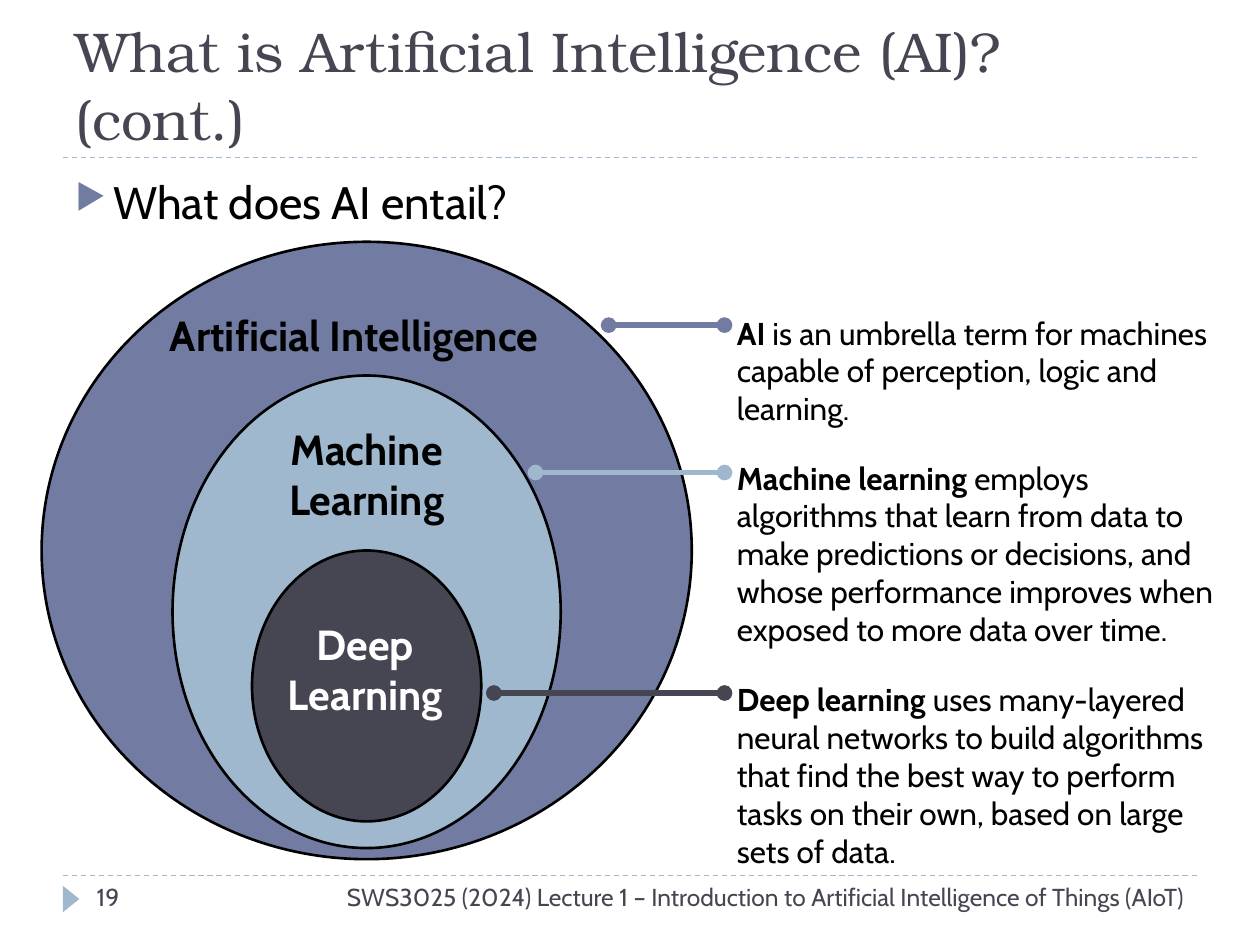
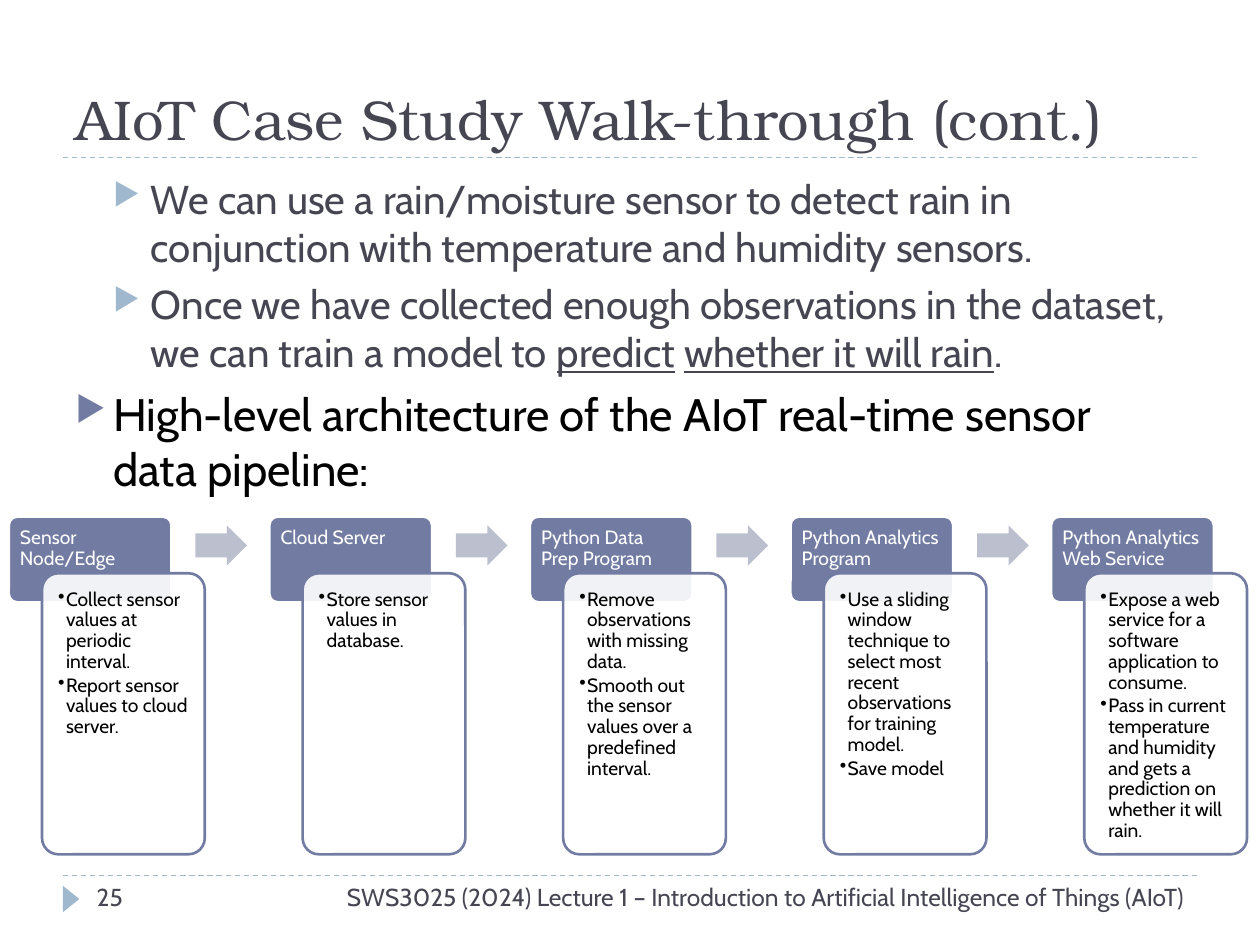
from lxml.etree import SubElement
from pptx import Presentation
from pptx.dml.color import RGBColor
from pptx.enum.dml import MSO_LINE
from pptx.enum.shapes import MSO_CONNECTOR, MSO_SHAPE
from pptx.enum.text import MSO_ANCHOR, PP_ALIGN
from pptx.oxml.ns import qn
from pptx.util import Pt

INDIGO, SKY, SLATE = "727CA3", "9FB8CD", "464653"
BLACK, WHITE, ARROW_GRAY = "000000", "FFFFFF", "BCBFCE"
HEADING_FONT, BODY_FONT = "TeX Gyre Bonum", "Cabin"
FOOTER = "SWS3025 (2024) Lecture 1 – Introduction to Artificial Intelligence of Things (AIoT)"
INSETS = (7.2, 3.6, 7.2, 3.6)

MAIN = dict(size=26, color=BLACK, before=6, indent=21.6, hang=21.6,
            bullet="▶", bullet_color=INDIGO)
SUB = dict(size=23, color=SLATE, before=5, indent=43.2, hang=21.6, level=1,
           bullet="▶", bullet_color=SKY, emphasis="underline")
STAGE = dict(size=11, color=WHITE, spacing=0.9)
TASK = dict(size=11, color=BLACK, spacing=0.9, after=1.65, indent=4.5, hang=4.5,
            bullet="•")

CIRCLES = [
    ((23.8, 138.2, 371.5, 352.8), INDIGO),
    ((98.6, 214.6, 221.8, 270), SKY),
    ((144, 314.6, 131, 154.8), SLATE),
]
CIRCLE_LABELS = [
    ("Artificial Intelligence", (90, 173.5, 250.6, 36), BLACK, PP_ALIGN.LEFT),
    ("Machine Learning", (130.3, 238.3, 158.4, 65.5), BLACK, PP_ALIGN.CENTER),
    ("Deep Learning", (129.6, 349.9, 158.4, 65.5), WHITE, PP_ALIGN.CENTER),
]
DEFINITIONS = [
    ("*AI* is an umbrella term for machines capable of perception, logic and learning.",
     175.7, 72.7, 347.8, 185.8, INDIGO),
    ("*Machine learning* employs algorithms that learn from data to make predictions or "
     "decisions, and whose performance improves when exposed to more data over time.",
     258.5, 116.6, 306, 270, SKY),
    ("*Deep learning* uses many-layered neural networks to build algorithms that find the "
     "best way to perform tasks on their own, based on large sets of data.",
     385.2, 116.6, 282.2, 396, SLATE),
]
PIPELINE = [
    ("Sensor Node/Edge", ["Collect sensor values at periodic interval.",
                          "Report sensor values to cloud server."]),
    ("Cloud Server", ["Store sensor values in database."]),
    ("Python Data Prep Program", ["Remove observations with missing data.",
                                  "Smooth out the sensor values over a predefined interval."]),
    ("Python Analytics Program", ["Use a sliding window technique to select most recent "
                                  "observations for training model.", "Save model"]),
    ("Python Analytics Web Service", ["Expose a web service for a software application to "
                                      "consume.",
                                      "Pass in current temperature and humidity and gets a "
                                      "prediction on whether it will rain."]),
]


def rgb(value):
    """Turn a hex string into a colour."""
    return RGBColor.from_string(value)


def points(values):
    """Turn numbers into lengths in points."""
    return [Pt(value) for value in values]


class Deck:
    """Holds the presentation, its style and the current slide."""

    def __init__(self):
        """Start an empty 10 by 7.5 inch presentation."""
        self.presentation = Presentation()
        self.presentation.slide_width, self.presentation.slide_height = points((720, 540))

    def new_slide(self, title, number):
        """Add a slide with title, divider lines and footer."""
        self.slide = self.presentation.slides.add_slide(self.presentation.slide_layouts[6])
        for y in (500.4, 90):
            self.line((36, y), (684, y), SKY, 0.75, dashed=True)
        marker = self.shape(MSO_SHAPE.ISOSCELES_TRIANGLE, (33.1, 509, 15.1, 9.4), SKY)
        marker.rotation = 90
        self.text((36, 12.2, 648, 77.8), [(title, dict(size=32, color=SLATE, font=HEADING_FONT))],
                  anchor=MSO_ANCHOR.BOTTOM)
        small = dict(size=14, color=SLATE)
        self.text((95.8, 500.4, 588.2, 28.8), [(FOOTER, dict(small, align=PP_ALIGN.RIGHT))])
        self.text((48.2, 500.4, 156.2, 28.8), [(str(number), small)])

    def text(self, box, paragraphs, anchor=MSO_ANCHOR.TOP):
        """Add a text box."""
        frame = self.slide.shapes.add_textbox(*points(box)).text_frame
        self.fill_frame(frame, paragraphs, anchor)

    def fill_frame(self, frame, paragraphs, anchor=MSO_ANCHOR.TOP, insets=INSETS):
        """Write styled paragraphs into a text frame."""
        frame.word_wrap = True
        frame.vertical_anchor = anchor
        (frame.margin_left, frame.margin_top,
         frame.margin_right, frame.margin_bottom) = points(insets)
        for index, (content, style) in enumerate(paragraphs):
            paragraph = frame.add_paragraph() if index else frame.paragraphs[0]
            self.fill_paragraph(paragraph, content, first=index == 0, **style)

    def fill_paragraph(self, paragraph, content, first, size, color, font=BODY_FONT,
                       align=PP_ALIGN.LEFT, before=0, after=0, spacing=1.0, level=0,
                       indent=0, hang=0, bullet=None, bullet_color=None, emphasis="bold"):
        """Write one paragraph, emphasising the parts between asterisks."""
        paragraph.alignment = align
        paragraph.level = level
        paragraph.line_spacing = spacing
        paragraph.space_before = Pt(0 if first else before)
        paragraph.space_after = Pt(after)
        if bullet:
            properties = paragraph._p.get_or_add_pPr()
            properties.set("marL", str(Pt(indent)))
            properties.set("indent", str(-Pt(hang)))
            if bullet_color:
                SubElement(SubElement(properties, qn("a:buClr")), qn("a:srgbClr"),
                           val=bullet_color)
                SubElement(properties, qn("a:buSzPct"), val="76000")
            SubElement(properties, qn("a:buChar"), char=bullet)
        paragraph.font.size = Pt(size)
        paragraph.font.name = font
        paragraph.font.color.rgb = rgb(color)
        for index, part in enumerate(content.split("*")):
            if part:
                run = paragraph.add_run()
                run.text = part
                if index % 2:
                    setattr(run.font, emphasis, True)

    def shape(self, kind, box, fill, outline=None, adjustments=(), opacity=None):
        """Add a filled preset shape."""
        shape = self.slide.shapes.add_shape(kind, *points(box))
        shape.shadow.inherit = False
        for index, value in enumerate(adjustments):
            shape.adjustments[index] = value
        shape.fill.solid()
        shape.fill.fore_color.rgb = rgb(fill)
        if opacity:
            color = shape._element.spPr.find(qn("a:solidFill")).find(qn("a:srgbClr"))
            SubElement(color, qn("a:alpha"), val=str(opacity * 1000))
        if outline:
            shape.line.color.rgb = rgb(outline)
            shape.line.width = Pt(1.5)
        else:
            shape.line.fill.background()
        return shape

    def line(self, start, end, color, width, dashed=False, dots=False):
        """Add a straight line, dashed or with round ends on request."""
        line = self.slide.shapes.add_connector(MSO_CONNECTOR.STRAIGHT, *points(start + end))
        line.line.color.rgb = rgb(color)
        line.line.width = Pt(width)
        if dashed:
            line.line.dash_style = MSO_LINE.DASH
        if dots:
            for tag in ("a:headEnd", "a:tailEnd"):
                SubElement(line.line._get_or_add_ln(), qn(tag), type="oval")
        SubElement(line._element.spPr, qn("a:effectLst"))

    def stage(self, left, name, tasks):
        """Add one pipeline stage: a header with its task card."""
        header = self.shape(MSO_SHAPE.ROUNDED_RECTANGLE, (left, 295.2, 93, 49),
                            INDIGO, WHITE, [0.1])
        self.fill_frame(header.text_frame, [(name, STAGE)], insets=(5, 5, 5, 2))
        card = self.shape(MSO_SHAPE.ROUNDED_RECTANGLE, (left + 19, 327.6, 93, 160.6),
                          WHITE, INDIGO, [0.1], opacity=90)
        self.fill_frame(card.text_frame, [(task, TASK) for task in tasks],
                        insets=(6.5, 6.5, 6.5, 6.5))


def build_ai_slide(deck):
    """Show how AI, machine learning and deep learning nest."""
    deck.new_slide("What is Artificial Intelligence (AI)? (cont.)", 19)
    deck.text((36, 95.8, 648, 388.8), [("What does AI entail?", MAIN)])
    for box, color in CIRCLES:
        deck.shape(MSO_SHAPE.OVAL, box, color, BLACK)
    for label, box, color, align in CIRCLE_LABELS:
        deck.text(box, [(f"*{label}*", dict(size=24, color=color, align=align))])
    for definition, top, height, leader_x, leader_y, color in DEFINITIONS:
        deck.text((414, top, 296, height), [(definition, dict(size=18, color=BLACK))])
        deck.line((leader_x, leader_y), (414, leader_y), color, 3, dots=True)


def build_pipeline_slide(deck):
    """Show the sensor data pipeline of the case study."""
    deck.new_slide("AIoT Case Study Walk-through (cont.)", 25)
    deck.text((36, 95.8, 648, 404.6), [
        ("We can use a rain/moisture sensor to detect rain in conjunction with temperature "
         "and humidity sensors.", SUB),
        ("Once we have collected enough observations in the dataset, we can train a model to "
         "*predict* *whether it will rain*.", SUB),
        ("High-level architecture of the AIoT real-time sensor data pipeline:", MAIN),
    ])
    for index, (name, tasks) in enumerate(PIPELINE):
        left = 5 + 148.9 * index
        deck.stage(left, name, tasks)
        if index < len(PIPELINE) - 1:
            deck.shape(MSO_SHAPE.RIGHT_ARROW, (left + 106.6, 300.2, 29.5, 23),
                       ARROW_GRAY, adjustments=[0.6, 0.5])


def main():
    """Build and save the slides."""
    deck = Deck()
    build_ai_slide(deck)
    build_pipeline_slide(deck)
    deck.presentation.save("out.pptx")


if __name__ == "__main__":
    main()
